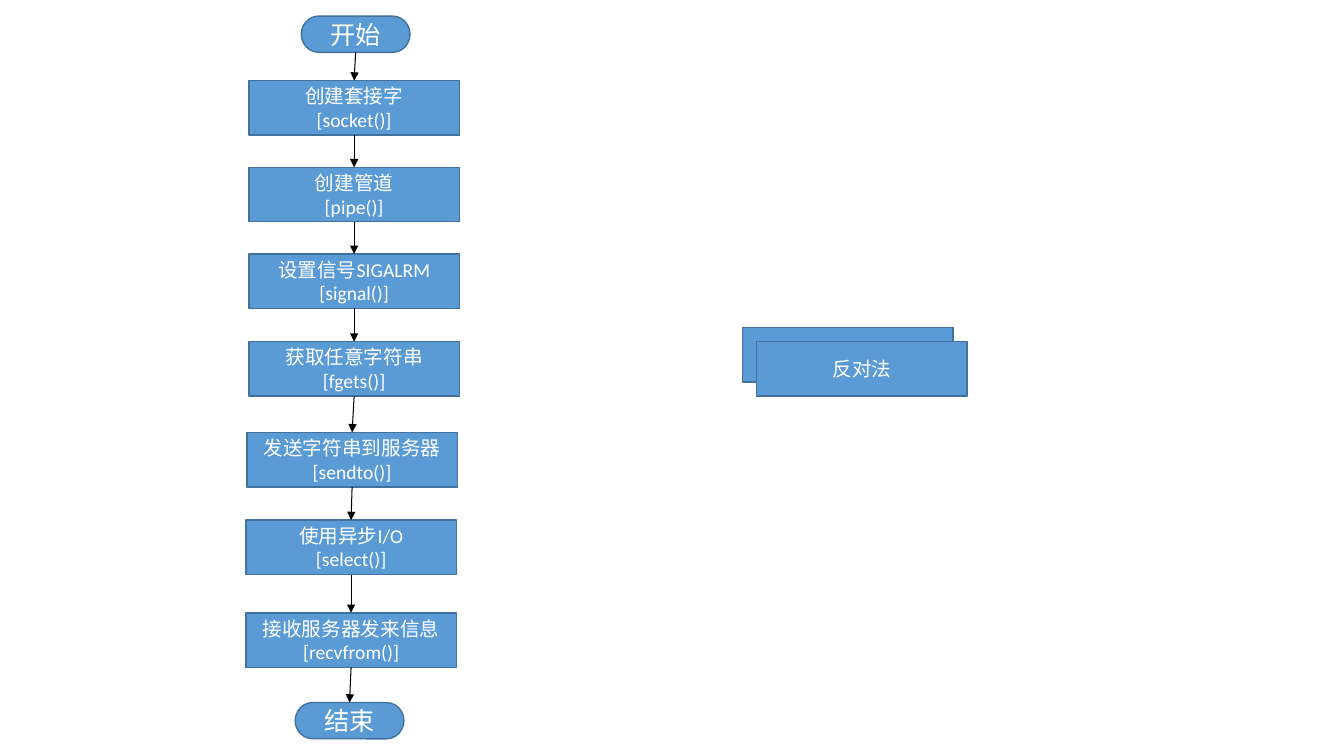
from pptx import Presentation, util as u
from pptx.dml.color import RGBColor
from pptx.enum import shapes, text
from pptx.oxml.ns import qn
from lxml import etree

PX = 9144  # EMU per px, 100 px to the inch
HUES = {"fill": "5B9BD5", "edge": "41719C", "text": "FFFFFF", "arrow": "000000"}
KIND = shapes.MSO_SHAPE


def rgb(name):
    return RGBColor.from_string(HUES[name])


def write(frame, words, size=14, font="Calibri", hue="text"):
    """Fill a frame with centred lines."""
    frame.word_wrap = True
    frame.vertical_anchor = text.MSO_ANCHOR.MIDDLE
    for i, line in enumerate(words.split("\n")):
        para = frame.paragraphs[0] if i == 0 else frame.add_paragraph()
        para.alignment = text.PP_ALIGN.CENTER
        run = para.add_run()
        run.text = line
        run.font.size = u.Pt(size)
        run.font.name = font
        run.font.color.rgb = rgb(hue)


class Chart:
    def __init__(self, slide):
        self.slide = slide

    def node(self, kind, left, top, width, height, words="", **style):
        box = self.slide.shapes.add_shape(
            kind, *(n * PX for n in (left, top, width, height)))
        box.shadow.inherit = False
        box.fill.solid()
        box.fill.fore_color.rgb = rgb("fill")
        box.line.color.rgb = rgb("edge")
        box.line.width = u.Pt(1)
        if words:
            write(box.text_frame, words, **style)
        return box

    def end(self, left, top, words):
        return self.node(KIND.FLOWCHART_TERMINATOR, left, top, 108, 36, words, size=18)

    def step(self, left, top, words=""):
        return self.node(KIND.FLOWCHART_PROCESS, left, top, 209, 54, words)

    def arrow(self, start, stop):
        link = self.slide.shapes.add_connector(shapes.MSO_CONNECTOR.STRAIGHT, 0, 0, 0, 0)
        link.begin_connect(start, 2)  # bottom
        link.end_connect(stop, 0)  # top
        link.line.color.rgb = rgb("arrow")
        link.line.width = u.Pt(0.75)
        props = link._element.spPr
        etree.SubElement(props.find(qn("a:ln")), qn("a:tailEnd"), type="triangle")
        etree.SubElement(props, qn("a:effectLst"))


STEPS = [
    (247, 80, "创建套接字\n[socket()]"),
    (247, 166, "创建管道\n[pipe()]"),
    (247, 252, "设置信号SIGALRM\n[signal()]"),
    (247, 339, "获取任意字符串\n[fgets()]"),
    (245, 429, "发送字符串到服务器\n[sendto()]"),
    (244, 516, "使用异步I/O\n[select()]"),
    (244, 608, "接收服务器发来信息\n[recvfrom()]"),
]


def main():
    deck = Presentation()
    deck.slide_width, deck.slide_height = 1334 * PX, 750 * PX
    chart = Chart(deck.slides.add_slide(deck.slide_layouts[6]))

    # Main flow
    flow = [chart.end(299, 16, "开始")]
    flow += [chart.step(*item) for item in STEPS]
    flow.append(chart.end(293, 697, "结束"))
    for start, stop in zip(flow, flow[1:]):
        chart.arrow(start, stop)

    # Stacked boxes at the right
    chart.step(737, 325)
    chart.step(751, 339, "反对法")

    deck.save("out.pptx")


if __name__ == "__main__":
    main()
